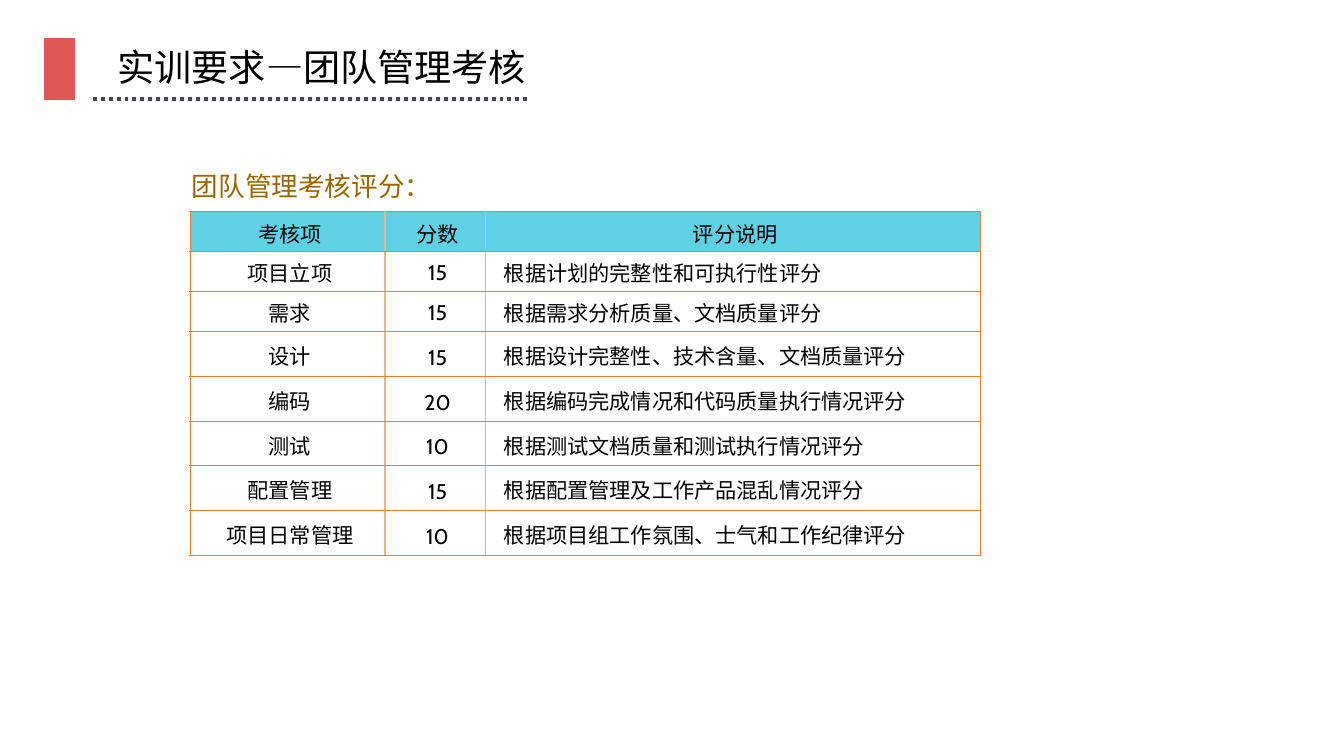
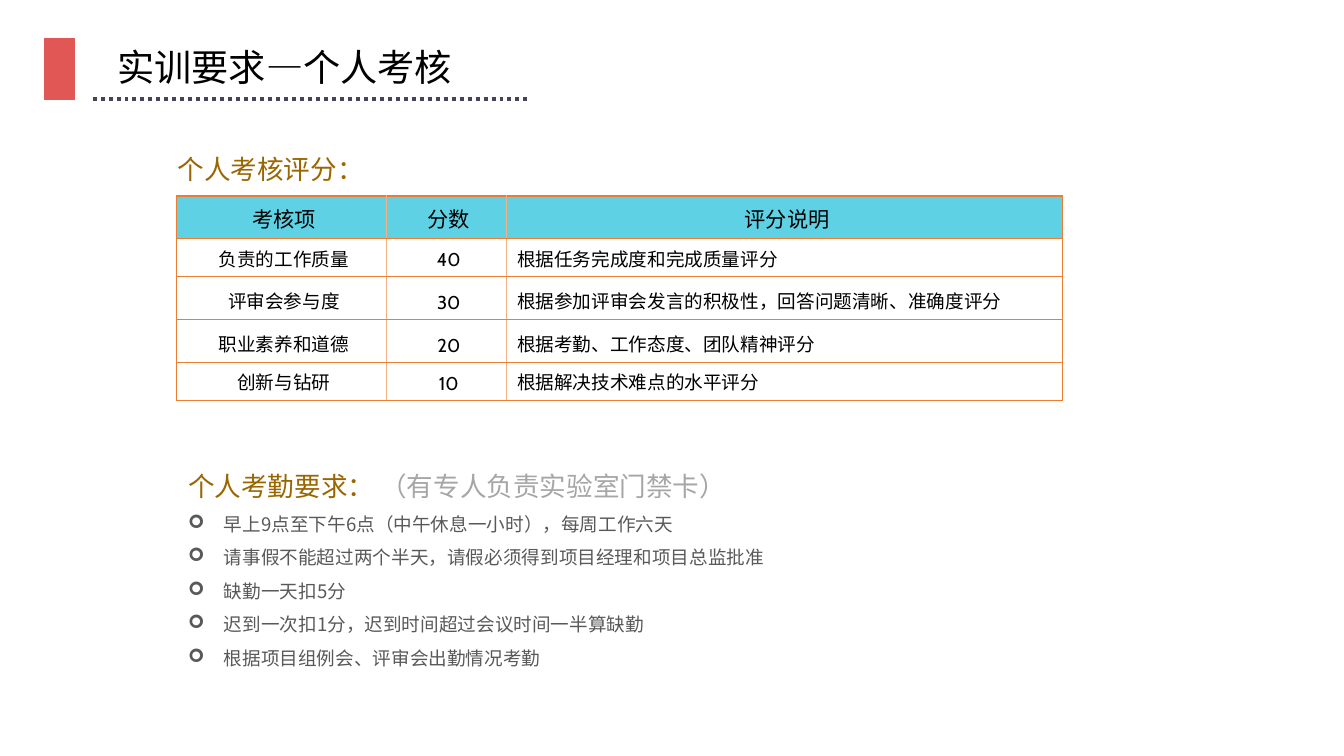
from dataclasses import dataclass

from lxml.etree import SubElement
from pptx import Presentation
from pptx.dml.color import RGBColor
from pptx.enum.dml import MSO_LINE
from pptx.enum.shapes import MSO_CONNECTOR, MSO_SHAPE
from pptx.enum.text import MSO_ANCHOR, MSO_AUTO_SIZE, PP_ALIGN
from pptx.oxml import parse_xml
from pptx.oxml.ns import nsdecls, qn
from pptx.util import Cm, Pt


@dataclass(frozen=True)
class Theme:
    """Colours, fonts and type sizes of the deck."""

    black: str = "000000"
    white: str = "FFFFFF"
    red: str = "E05756"
    violet: str = "474259"
    cyan: str = "5ED1E5"
    orange: str = "ED7D31"
    peach: str = "F4B183"
    brown: str = "996600"
    light_grey: str = "A6A6A6"
    dark_grey: str = "595959"
    text_font: str = "Noto Sans CJK SC"
    table_font: str = "Cabin"
    title_size: int = 28
    heading_size: int = 20
    header_size: int = 16
    body_size: int = 14


class Slides:
    """Holds the deck, its theme and the current page."""

    def __init__(self, theme):
        """Start an empty deck."""
        self.theme = theme
        self.deck = Presentation()
        self.deck.slide_width = Cm(35.71)
        self.deck.slide_height = Cm(20.09)
        self.page = None

    def add_span(self, para, text, size, colour, font=None):
        """Append one formatted run to a paragraph."""
        span = para.add_run()
        span.text = text
        span.font.size = Pt(size)
        span.font.bold = False
        span.font.name = font or self.theme.text_font
        span.font.color.rgb = RGBColor.from_string(colour)
        east_asian = SubElement(span.font._element, qn("a:ea"))
        east_asian.set("typeface", self.theme.text_font)

    def add_page(self, title):
        """Add a page with its red block, dotted rule and title."""
        theme = self.theme
        self.page = self.deck.slides.add_slide(self.deck.slide_layouts[5])
        block = self.page.shapes.add_shape(
            MSO_SHAPE.RECTANGLE, Cm(1.19), Cm(1.04), Cm(0.79), Cm(1.6))
        block.shadow.inherit = False
        block.fill.solid()
        block.fill.fore_color.rgb = RGBColor.from_string(theme.red)
        block.line.color.rgb = RGBColor.from_string(theme.red)
        block.line.width = Pt(1)

        rule = self.page.shapes.add_connector(
            MSO_CONNECTOR.STRAIGHT, Cm(2.46), Cm(2.64), Cm(14.07), Cm(2.64))
        rule.line.color.rgb = RGBColor.from_string(theme.violet)
        rule.line.width = Pt(3)
        rule.line.dash_style = MSO_LINE.ROUND_DOT
        SubElement(rule._element.spPr, qn("a:effectLst"))

        box = self.page.shapes.title
        box.left, box.top, box.width, box.height = Cm(2.87), Cm(1.04), Cm(12.2), Cm(1.45)
        frame = box.text_frame
        frame.word_wrap = True
        frame.auto_size = MSO_AUTO_SIZE.SHAPE_TO_FIT_TEXT
        frame.vertical_anchor = MSO_ANCHOR.TOP
        para = frame.paragraphs[0]
        para.alignment = PP_ALIGN.LEFT
        self.add_span(para, title, theme.title_size, theme.black)

    def add_box(self, left, top, width, height):
        """Add a wrapping text box and return its frame."""
        box = self.page.shapes.add_textbox(Cm(left), Cm(top), Cm(width), Cm(height))
        box.text_frame.word_wrap = True
        return box.text_frame

    def add_heading(self, text, left, top):
        """Add the heading above a table."""
        frame = self.add_box(left, top, 6.81, 1.88)
        frame.vertical_anchor = MSO_ANCHOR.MIDDLE
        para = frame.paragraphs[0]
        para.line_spacing = 1.5
        self.add_span(para, text, self.theme.heading_size, self.theme.brown)

    def add_rules(self, heading, remark, rules, left, top, width, height):
        """Add a heading with a remark, followed by arrow bullets."""
        theme = self.theme
        frame = self.add_box(left, top, width, height)
        para = frame.paragraphs[0]
        para.line_spacing = 1.5
        self.add_span(para, heading, theme.heading_size, theme.brown)
        self.add_span(para, remark, theme.heading_size, theme.light_grey)
        for rule in rules:
            para = frame.add_paragraph()
            para.line_spacing = 1.5
            self.set_indent(para, 0.95, -0.95)
            properties = para._p.get_or_add_pPr()
            SubElement(properties, qn("a:buFont")).set("typeface", "Wingdings")
            SubElement(properties, qn("a:buChar")).set("char", "➢")
            self.add_span(para, rule, theme.body_size, theme.dark_grey)

    def set_indent(self, para, margin, first_line):
        """Set the left margin and first-line indent of a paragraph."""
        properties = para._p.get_or_add_pPr()
        properties.set("marL", str(Cm(margin)))
        properties.set("indent", str(Cm(first_line)))

    def set_borders(self, cell, left, right):
        """Draw the four borders of a cell."""
        colours = {"lnL": left, "lnR": right,
                   "lnT": self.theme.orange, "lnB": self.theme.orange}
        properties = cell._tc.get_or_add_tcPr()
        for index, (side, colour) in enumerate(colours.items()):
            properties.insert(index, parse_xml(
                f'<a:{side} {nsdecls("a")} w="{Pt(1)}"><a:solidFill>'
                f'<a:srgbClr val="{colour}"/></a:solidFill></a:{side}>'))

    def add_table(self, rows, left, top, widths, heights, size, note_margin):
        """Add a score table with centred names and left-set notes."""
        theme = self.theme
        table = self.page.shapes.add_table(
            len(rows), len(widths), Cm(left), Cm(top),
            Cm(sum(widths)), Cm(sum(heights))).table
        table.horz_banding = False
        for column, width in zip(table.columns, widths):
            column.width = Cm(width)
        for row, height in zip(table.rows, heights):
            row.height = Cm(height)
        last = len(widths) - 1
        for row_index, row in enumerate(rows):
            header = row_index == 0
            for column_index, text in enumerate(row):
                note = column_index == last and not header
                cell = table.cell(row_index, column_index)
                cell.margin_left = cell.margin_right = Cm(0.15)
                cell.margin_top = cell.margin_bottom = Cm(0.15)
                cell.vertical_anchor = MSO_ANCHOR.BOTTOM
                cell.fill.solid()
                cell.fill.fore_color.rgb = RGBColor.from_string(
                    theme.cyan if header else theme.white)
                self.set_borders(cell,
                                 theme.peach if column_index else theme.orange,
                                 theme.orange if column_index == last else theme.peach)
                para = cell.text_frame.paragraphs[0]
                para.alignment = PP_ALIGN.LEFT if note else PP_ALIGN.CENTER
                self.set_indent(para, note_margin if note else 1.07, -0.94)
                self.add_span(para, text, theme.header_size if header else size,
                              theme.black, theme.table_font)


def main():
    """Build both pages and save the deck."""
    theme = Theme()
    slides = Slides(theme)
    header = ("考核项", "分数", "评分说明")

    slides.add_page("实训要求—团队管理考核")
    slides.add_table([
        header,
        ("项目立项", "15", "根据计划的完整性和可执行性评分"),
        ("需求", "15", "根据需求分析质量、文档质量评分"),
        ("设计", "15", "根据设计完整性、技术含量、文档质量评分"),
        ("编码", "20", "根据编码完成情况和代码质量执行情况评分"),
        ("测试", "10", "根据测试文档质量和测试执行情况评分"),
        ("配置管理", "15", "根据配置管理及工作产品混乱情况评分"),
        ("项目日常管理", "10", "根据项目组工作氛围、士气和工作纪律评分"),
    ], 5.05, 5.63, (5.18, 2.66, 13.16), [1.06] * 3 + [1.19] * 5,
        theme.header_size, 1.29)
    slides.add_heading("团队管理考核评分：", 4.85, 3.78)

    slides.add_page("实训要求—个人考核")
    slides.add_rules("个人考勤要求： ", "（有专人负责实验室门禁卡）", [
        "早上9点至下午6点（中午休息一小时），每周工作六天",
        "请事假不能超过两个半天，请假必须得到项目经理和项目总监批准",
        "缺勤一天扣5分",
        "迟到一次扣1分，迟到时间超过会议时间一半算缺勤",
        "根据项目组例会、评审会出勤情况考勤",
    ], 4.75, 11.94, 19.53, 5.92)
    slides.add_table([
        header,
        ("负责的工作质量", "40", "根据任务完成度和完成质量评分"),
        ("评审会参与度", "30", "根据参加评审会发言的积极性，回答问题清晰、准确度评分"),
        ("职业素养和道德", "20", "根据考勤、工作态度、团队精神评分"),
        ("创新与钻研", "10", "根据解决技术难点的水平评分"),
    ], 4.7, 5.21, (5.56, 3.2, 14.78), (1.14, 1.01, 1.14, 1.14, 1.01),
        theme.body_size, 1.07)
    slides.add_heading("个人考核评分：", 4.47, 3.33)

    slides.deck.save("out.pptx")


if __name__ == "__main__":
    main()
